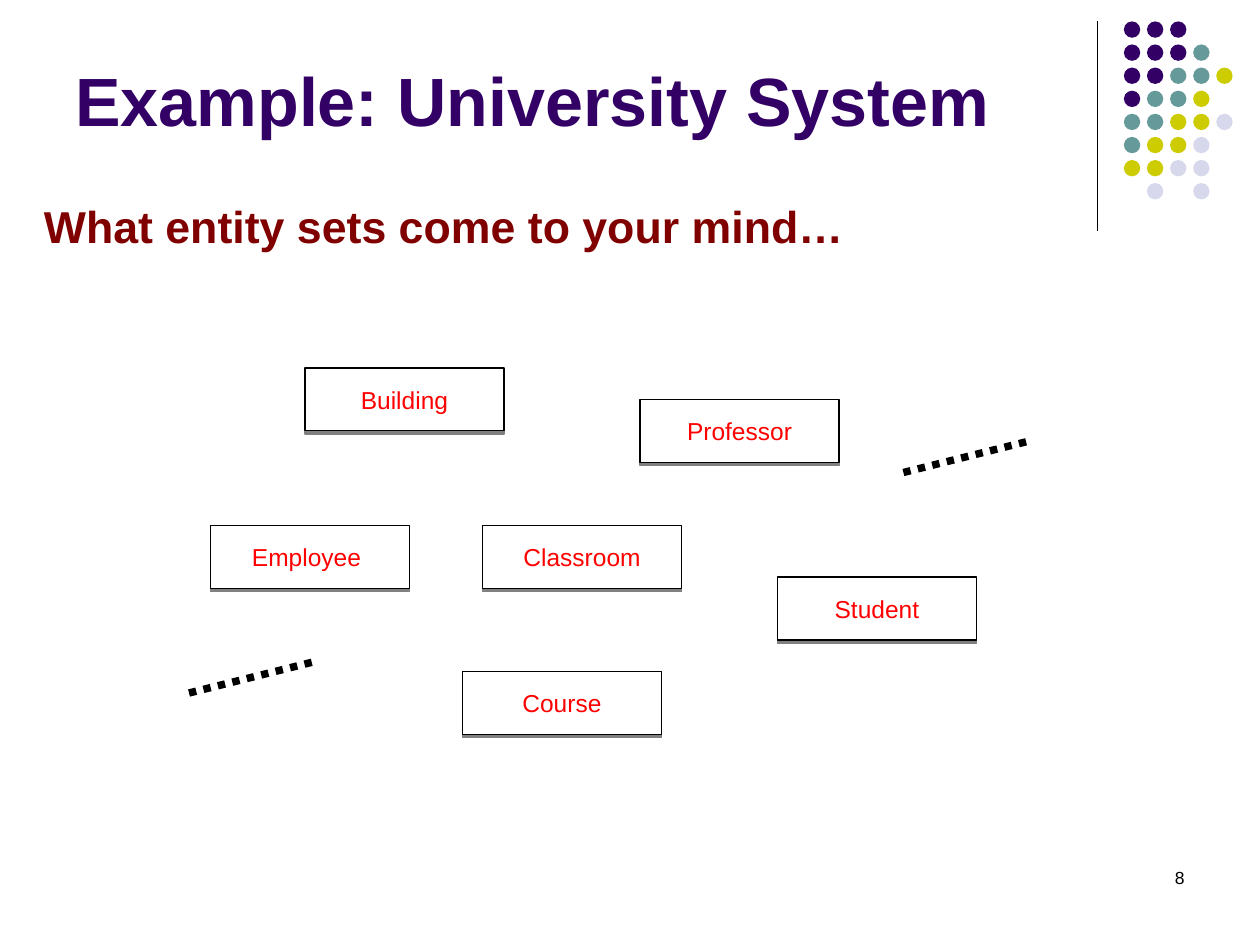
"""Build the university system slide with its candidate entity sets."""
from lxml import etree
from pptx import Presentation
from pptx import util as u
from pptx.dml.color import RGBColor
from pptx.enum import dml, shapes, text
from pptx.oxml import ns

BLACK = RGBColor(0x00, 0x00, 0x00)
WHITE = RGBColor(0xFF, 0xFF, 0xFF)
RED = RGBColor(0xFF, 0x00, 0x00)
MAROON = RGBColor(0x80, 0x00, 0x00)
PURPLE = RGBColor(0x33, 0x00, 0x66)
TEAL = RGBColor(0x66, 0x99, 0x99)
OLIVE = RGBColor(0xCC, 0xCC, 0x00)
LAVENDER = RGBColor(0xD8, 0xD8, 0xEC)


def put_text(sp, words, size, color, bold=False, align=text.PP_ALIGN.LEFT,
             anchor=text.MSO_ANCHOR.TOP, top=0.05):
    tf = sp.text_frame
    frame = {"word_wrap": True, "vertical_anchor": anchor,
             "margin_left": u.Inches(0.1), "margin_right": u.Inches(0.1),
             "margin_top": u.Inches(top), "margin_bottom": u.Inches(0.05)}
    for key, value in frame.items():
        setattr(tf, key, value)
    p = tf.paragraphs[0]
    p.alignment = align
    r = p.add_run()
    r.text = words
    for key, value in {"name": "Arial", "size": u.Pt(size), "bold": bold}.items():
        setattr(r.font, key, value)
    r.font.color.rgb = color


def add_line(x1, y1, x2, y2, width, dash=None):
    sp = s.shapes.add_connector(shapes.MSO_CONNECTOR.STRAIGHT, u.Inches(x1),
                                u.Inches(y1), u.Inches(x2), u.Inches(y2))
    sp.line.color.rgb = BLACK
    sp.line.width = u.Pt(width)
    if dash:
        sp.line.dash_style = dash
    etree.SubElement(sp._element.spPr, ns.qn("a:effectLst"))


prs = Presentation()
prs.slide_width, prs.slide_height = u.Inches(10), u.Inches(7.5)
s = prs.slides.add_slide(prs.slide_layouts[6])
s.background.fill.solid()
s.background.fill.fore_color.rgb = WHITE

add_line(8.71, 0.17, 8.71, 1.83, 0.75)

dot_colors = {"P": PURPLE, "T": TEAL, "O": OLIVE, "L": LAVENDER}
dot_rows = ["PPP", "PPPT", "PPTTO", "PTTO", "TTOOL", "TOOL", "OOLL", ".L.L"]
for row, codes in enumerate(dot_rows):
    for col, code in enumerate(codes):
        if code in dot_colors:
            sp = s.shapes.add_shape(
                shapes.MSO_SHAPE.OVAL, u.Inches(8.92 + col * 0.55 / 3),
                u.Inches(0.17 + row * 0.55 / 3), u.Inches(0.13), u.Inches(0.13))
            sp.shadow.inherit = False
            sp.fill.solid()
            sp.fill.fore_color.rgb = dot_colors[code]
            sp.line.fill.background()

labels = [
    ((0.5, 0.13, 8.25, 1.03), "Example: University System",
     {"size": 39, "color": PURPLE, "bold": True, "anchor": text.MSO_ANCHOR.BOTTOM}),
    ((0.25, 1.5, 9, 0.54), "What entity sets come to your mind…",
     {"size": 25.5, "color": MAROON, "bold": True, "top": 0.08}),
    ((7.17, 6.83, 2.33, 0.5), "8",
     {"size": 10, "color": BLACK, "align": text.PP_ALIGN.RIGHT}),
]
for box, words, style in labels:
    put_text(s.shapes.add_textbox(*map(u.Inches, box)), words, **style)

entities = [("Student", 6.17, 4.58), ("Professor", 5.08, 3.17),
            ("Building", 2.42, 2.92), ("Employee ", 1.67, 4.17),
            ("Course", 3.67, 5.33), ("Classroom", 3.83, 4.17)]
for name, x, y in entities:
    sp = s.shapes.add_shape(shapes.MSO_SHAPE.RECTANGLE, u.Inches(x), u.Inches(y),
                            u.Inches(1.58), u.Inches(0.5))
    sp.fill.solid()
    sp.fill.fore_color.rgb = WHITE
    sp.line.color.rgb = BLACK
    sp.line.width = u.Pt(0.75)
    sp.shadow.inherit = False
    effects = sp._element.spPr.find(ns.qn("a:effectLst"))
    shadow = etree.SubElement(effects, ns.qn("a:outerShdw"), blurRad="0",
                              dist=str(u.Pt(1.8)), dir="5400000", rotWithShape="0")
    etree.SubElement(shadow, ns.qn("a:srgbClr"), val="808080")
    put_text(sp, name, 14, RED, align=text.PP_ALIGN.CENTER,
             anchor=text.MSO_ANCHOR.MIDDLE)

for x, y in [(1.5, 5.5), (7.17, 3.75)]:
    add_line(x, y, x + 1, y - 0.25, 4.25, dml.MSO_LINE.ROUND_DOT)

prs.save("out.pptx")
